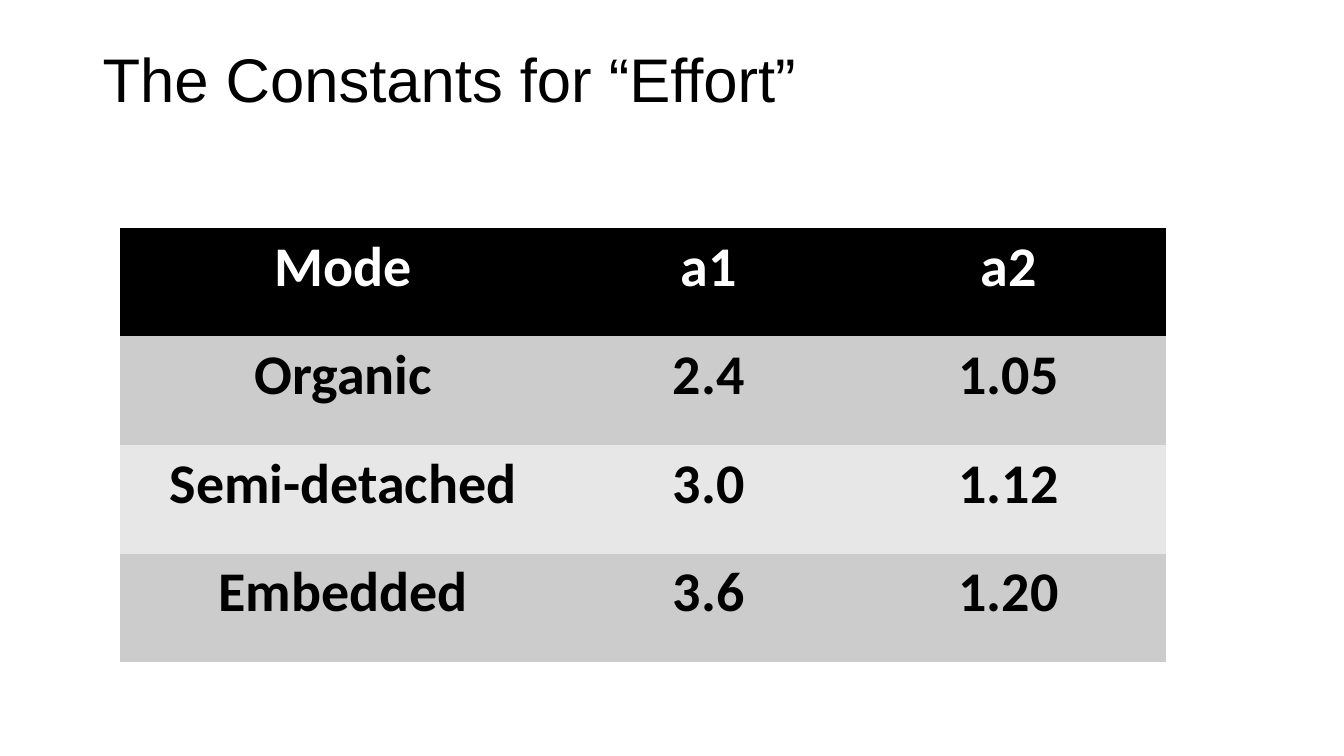
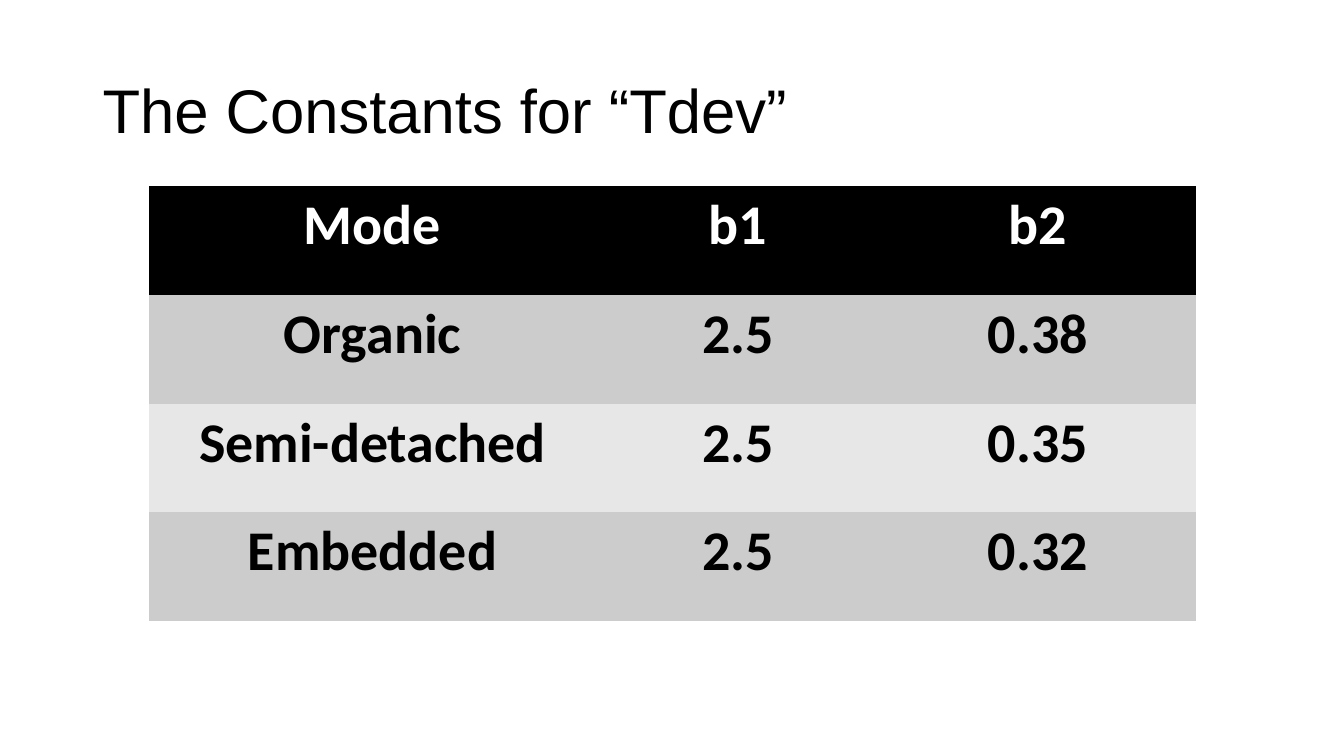
"""Build two slides that tabulate the effort and development time constants."""
from pptx import Presentation
from pptx.dml.color import RGBColor as RGB
from pptx.enum.text import MSO_ANCHOR as ANCHOR, PP_ALIGN as ALIGN
from pptx.oxml.ns import qn
from pptx.util import Pt

COLORS = {"black": "000000", "white": "FFFFFF", "band": "CCCCCC", "light": "E7E7E7"}
PLAIN_STYLE = "{2D5ABB26-0587-4C30-8999-92F81FD0307C}"
COL_WIDTHS = [319, 203, 225.4]
ROW_HEIGHT = 77.6
ROW_STYLES = [("black", "white"), ("band", "black"), ("light", "black"), ("band", "black")]
MODES = ["Mode", "Organic", "Semi-detached", "Embedded"]
SLIDES = [
    {"title": "The Constants for “Effort”", "title_height": 59.8, "table_at": (85.7, 162.7),
     "values": [("a1", "a2"), ("2.4", "1.05"), ("3.0", "1.12"), ("3.6", "1.20")]},
    {"title": "The Constants for “Tdev”", "title_height": 104.4, "table_at": (106.6, 133.2),
     "values": [("b1", "b2"), ("2.5", "0.38"), ("2.5", "0.35"), ("2.5", "0.32")]},
]


def write(tf, text, font="Calibri", size=40, color="black", bold=False,
          align=ALIGN.LEFT, spacing=1.0):
    """Write one formatted paragraph into a text frame."""
    p = tf.paragraphs[0]
    p.alignment, p.line_spacing = align, spacing
    r = p.add_run()
    r.text = text
    r.font.name, r.font.size, r.font.bold = font, Pt(size), bold
    r.font.color.rgb = RGB.from_string(COLORS[color])


prs = Presentation()
prs.slide_width, prs.slide_height = Pt(960), Pt(540)

for content in SLIDES:
    s = prs.slides.add_slide(prs.slide_layouts[6])
    sp = s.shapes.add_textbox(Pt(66.2), Pt(28.8), Pt(828), Pt(content["title_height"]))
    tf = sp.text_frame
    tf.word_wrap, tf.vertical_anchor = True, ANCHOR.MIDDLE
    write(tf, content["title"], font="Arial", size=44, spacing=0.9)

    left, top = content["table_at"]
    table = s.shapes.add_table(len(MODES), len(COL_WIDTHS), Pt(left), Pt(top),
                               Pt(sum(COL_WIDTHS)), Pt(ROW_HEIGHT * len(MODES))).table
    table._tbl.tblPr.find(qn("a:tableStyleId")).text = PLAIN_STYLE
    for column, width in zip(table.columns, COL_WIDTHS):
        column.width = Pt(width)
    for row, mode, values, (fill, color) in zip(table.rows, MODES, content["values"], ROW_STYLES):
        row.height = Pt(ROW_HEIGHT)
        for cell, text in zip(row.cells, (mode, *values)):
            cell.fill.solid()
            cell.fill.fore_color.rgb = RGB.from_string(COLORS[fill])
            write(cell.text_frame, text, color=color, bold=True, align=ALIGN.CENTER)

prs.save("out.pptx")
